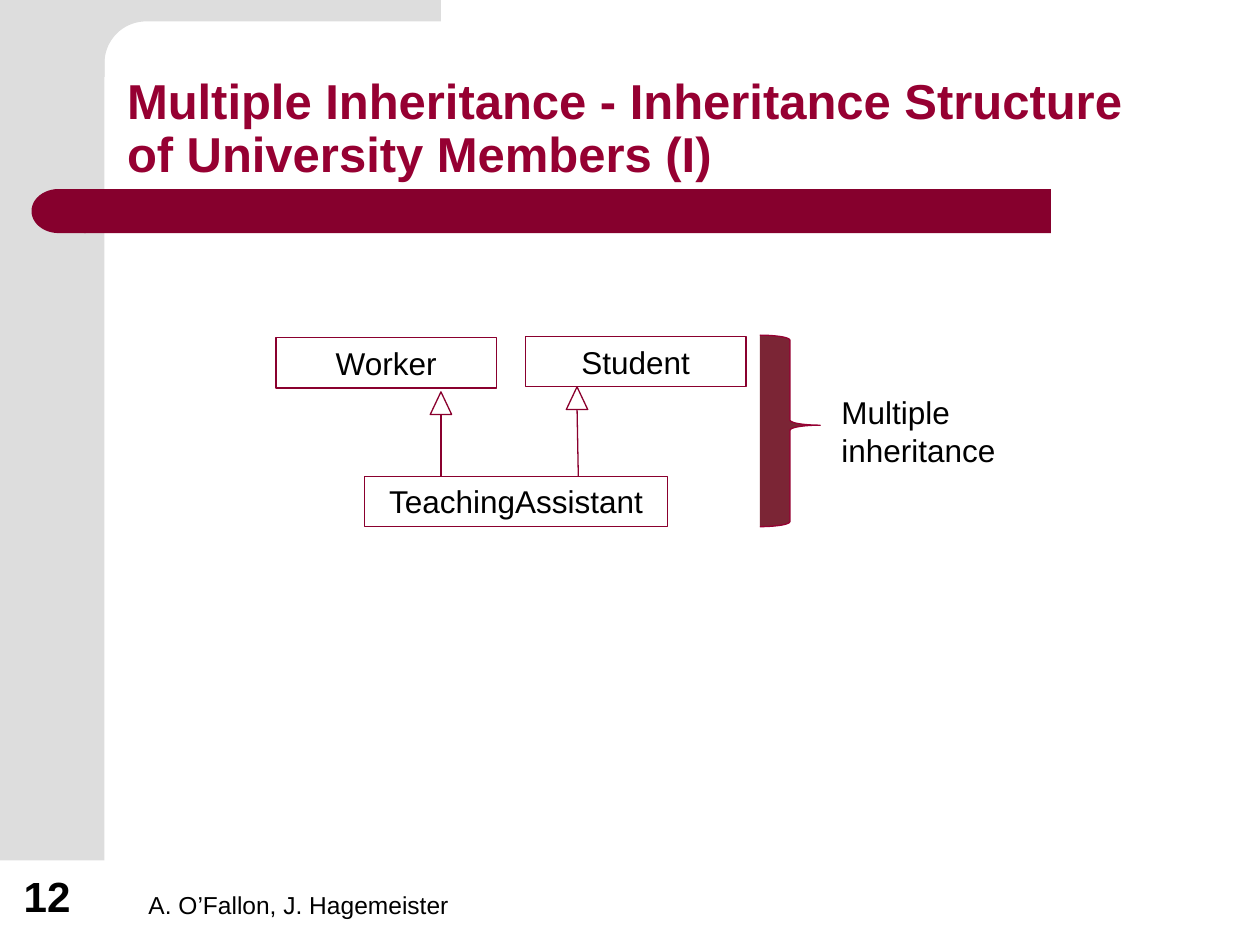
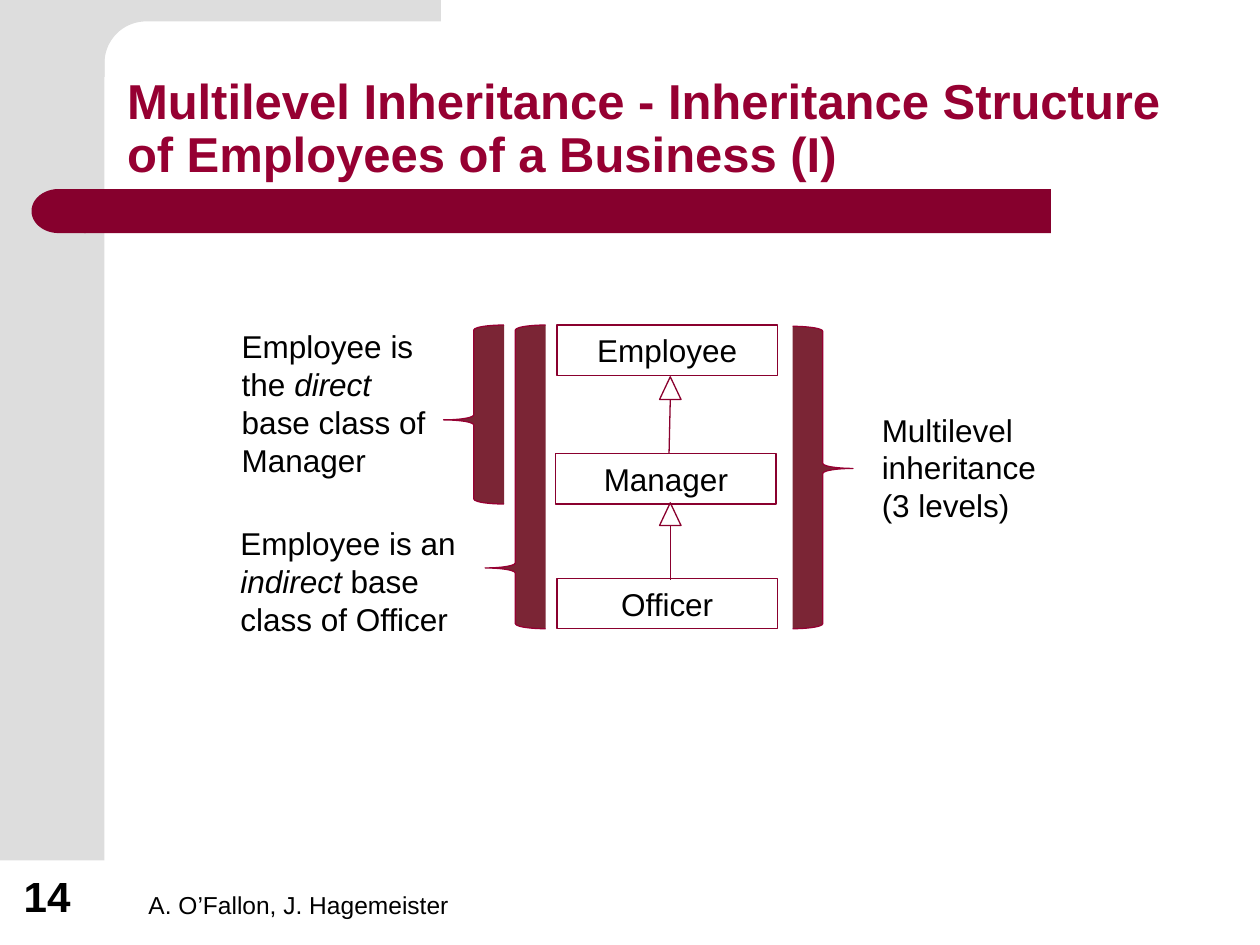
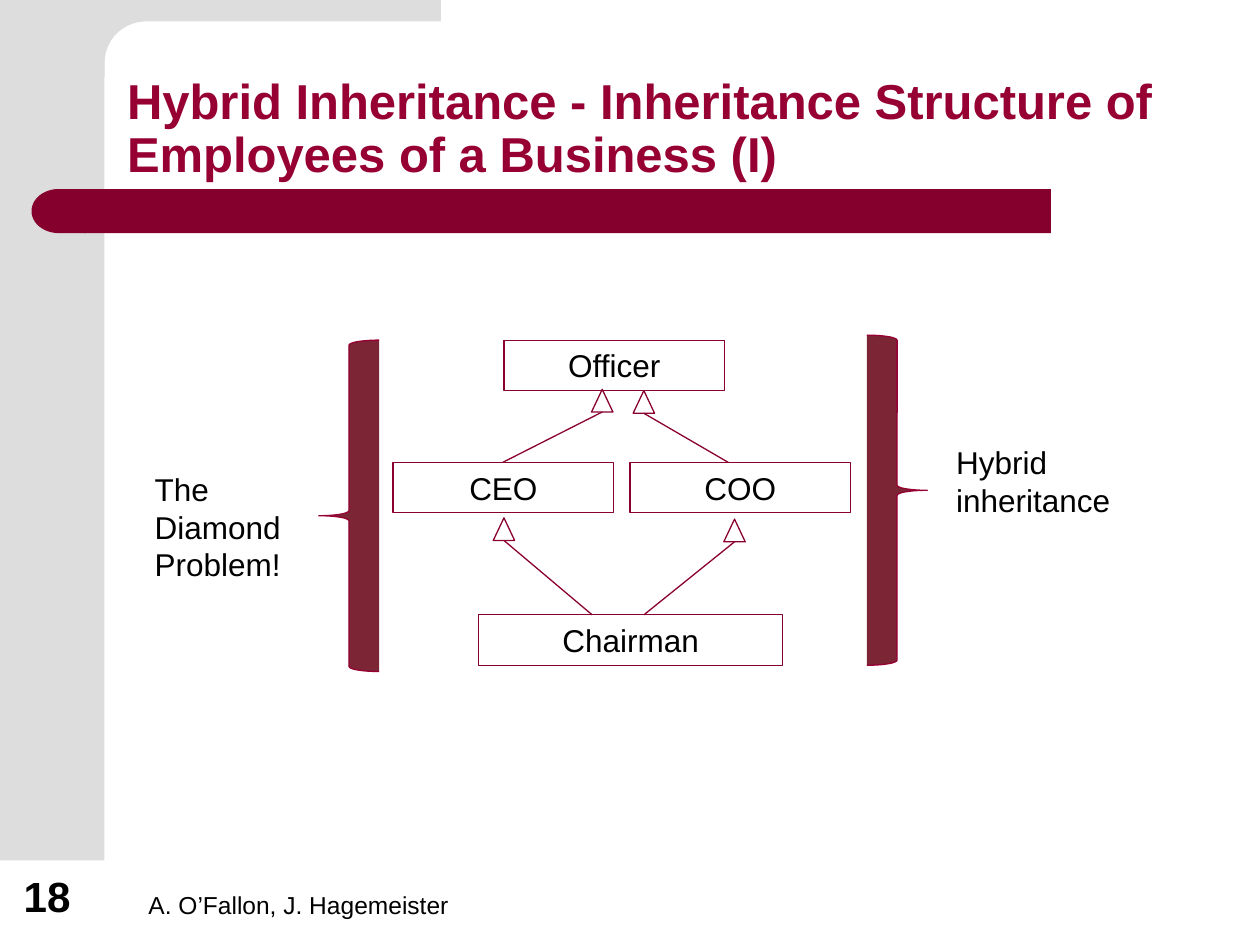
import math
from dataclasses import dataclass

from lxml import etree
from pptx import Presentation
from pptx.dml.color import RGBColor
from pptx.enum import shapes, text
from pptx.oxml.ns import qn
from pptx.util import Inches, Pt

GREY = RGBColor(0xDD, 0xDD, 0xDD)
BAND = RGBColor(0x86, 0x00, 0x2D)
TITLE = RGBColor(0x96, 0x00, 0x32)
OUTLINE = RGBColor(0x8A, 0x00, 0x2E)
BRACE_FILL = RGBColor(0x7B, 0x25, 0x35)
BLACK = RGBColor(0x00, 0x00, 0x00)

KIND = shapes.MSO_SHAPE
TOP, BOTTOM = text.MSO_ANCHOR.TOP, text.MSO_ANCHOR.BOTTOM
FOOTER = "A. O’Fallon, J. Hagemeister"

TITLE_FORMAT = {"size": Pt(28), "bold": True}
FOOTER_FORMAT = {"size": Pt(14)}
NUMBER_FORMAT = {"size": Pt(24.1), "bold": True}
BODY_FORMAT = {"size": Pt(18)}

BOX_HEIGHT = 0.4
HEAD_WIDTH, HEAD_HEIGHT = 0.17, 0.18


@dataclass
class ClassBox:
    name: str
    left: float
    top: float
    width: float = 1.75


@dataclass
class Arrow:
    """Inheritance arrow: apex of the open head, then end of the tail."""
    apex: tuple[float, float]
    tail: tuple[float, float]


@dataclass
class Brace:
    kind: KIND
    left: float
    top: float
    height: float
    tip: float  # share of the height


@dataclass
class Callout:
    runs: tuple[str, ...]  # every second run is italic
    left: float
    top: float
    width: float
    height: float


@dataclass
class Diagram:
    number: int
    title: str
    boxes: list[ClassBox]
    arrows: list[Arrow]
    braces: list[Brace]
    callouts: list[Callout]


DIAGRAMS = [
    Diagram(
        12, "Multiple Inheritance - Inheritance Structure of University Members (I)",
        [ClassBox("Student", 4.17, 2.67), ClassBox("Worker", 2.19, 2.68),
         ClassBox("TeachingAssistant", 2.89, 3.78, 2.41)],
        [Arrow((3.5, 3.11), (3.5, 3.78)), Arrow((4.58, 3.07), (4.59, 3.78))],
        [Brace(KIND.RIGHT_BRACE, 6.03, 2.66, 1.52, 0.47)],
        [Callout(("Multiple inheritance",), 6.58, 3.07, 1.5, 0.7)],
    ),
    Diagram(
        14, "Multilevel Inheritance - Inheritance Structure of Employees of a Business (I)",
        [ClassBox("Employee", 4.42, 2.58), ClassBox("Manager", 4.41, 3.6),
         ClassBox("Officer", 4.42, 4.59)],
        [Arrow((5.32, 2.99), (5.31, 3.6)), Arrow((5.32, 3.99), (5.32, 4.6))],
        [Brace(KIND.LEFT_BRACE, 3.52, 2.58, 1.42, 0.53),
         Brace(KIND.LEFT_BRACE, 3.85, 2.58, 2.41, 0.8),
         Brace(KIND.RIGHT_BRACE, 6.29, 2.59, 2.4, 0.47)],
        [Callout(("Employee is the ", "direct", " base class of Manager"), 1.82, 2.55, 1.68, 1.3),
         Callout(("Employee is an ", "indirect", " base class of Officer"), 1.81, 4.11, 2.14, 1),
         Callout(("Multilevel inheritance (3 levels)",), 6.9, 3.21, 1.5, 1)],
    ),
    Diagram(
        18, "Hybrid Inheritance - Inheritance Structure of Employees of a Business (I)",
        [ClassBox("Officer", 4, 2.7), ClassBox("COO", 5, 3.67),
         ClassBox("CEO", 3.12, 3.67), ClassBox("Chairman", 3.8, 4.88, 2.41)],
        [Arrow((4.78, 3.09), (3.99, 3.67)), Arrow((5.11, 3.1), (5.78, 3.67)),
         Arrow((4, 4.11), (4.7, 4.88)), Arrow((5.83, 4.12), (5.11, 4.88))],
        [Brace(KIND.RIGHT_BRACE, 6.88, 2.66, 2.62, 0.47),
         Brace(KIND.LEFT_BRACE, 2.53, 2.7, 2.63, 0.53)],
        [Callout(("Hybrid inheritance",), 7.49, 3.47, 1.6, 0.7),
         Callout(("The Diamond Problem!",), 1.13, 3.68, 1.6, 1)],
    ),
]


def style_shape(shape, fill: RGBColor | None = None, line: RGBColor | None = None) -> None:
    shape.shadow.inherit = False
    if fill is None:
        shape.fill.background()
    else:
        shape.fill.solid()
        shape.fill.fore_color.rgb = fill
    if line is None:
        shape.line.fill.background()
    else:
        shape.line.color.rgb = line
        shape.line.width = Pt(0.75)


def add_shape(slide, kind: KIND, left: float, top: float, width: float, height: float,
              fill: RGBColor | None = None, line: RGBColor | None = None):
    shape = slide.shapes.add_shape(kind, *map(Inches, (left, top, width, height)))
    style_shape(shape, fill, line)
    return shape


def write(shape, runs: tuple[str, ...], font_format: dict, color: RGBColor = BLACK,
          anchor: text.MSO_ANCHOR = TOP):
    frame = shape.text_frame
    frame.word_wrap = True
    frame.vertical_anchor = anchor
    paragraph = frame.paragraphs[0]
    for index, words in enumerate(runs):
        run = paragraph.add_run()
        run.text = words
        for key, value in {"name": "Arial", "italic": index % 2 == 1, **font_format}.items():
            setattr(run.font, key, value)
        run.font.color.rgb = color
    return paragraph


def add_text(slide, left: float, top: float, width: float, height: float,
             runs: tuple[str, ...], font_format: dict, **options):
    box = slide.shapes.add_textbox(*map(Inches, (left, top, width, height)))
    return write(box, runs, font_format, **options)


def add_frame(slide) -> None:
    """Grey side bar with its rounded corner, and the band below the title."""
    add_shape(slide, KIND.RECTANGLE, 0, 0, 0.83, 6.83, fill=GREY)
    center_x, center_y, radius = 1.16, 0.5, 0.33
    angles = [math.radians(degrees) for degrees in range(90, 181, 5)]
    arc = [(center_x + radius * math.cos(a), center_y - radius * math.sin(a)) for a in angles]
    outline = [(3.5, 0.17), *arc, (0.83, 0.61), (0.5, 0.61), (0.5, 0)]
    builder = slide.shapes.build_freeform(Inches(3.5), 0)
    builder.add_line_segments([(Inches(x), Inches(y)) for x, y in outline])
    style_shape(builder.convert_to_shape(), GREY)

    add_shape(slide, KIND.RECTANGLE, 0.67, 1.5, 7.67, 0.35, fill=BAND)
    add_shape(slide, KIND.FLOWCHART_DELAY, 0.25, 1.5, 0.43, 0.35, fill=BAND).rotation = 180


def add_class_box(slide, box: ClassBox) -> None:
    shape = add_shape(slide, KIND.RECTANGLE, box.left, box.top, box.width, BOX_HEIGHT,
                      line=OUTLINE)
    write(shape, (box.name,), BODY_FORMAT).alignment = text.PP_ALIGN.CENTER


def add_arrow(slide, arrow: Arrow) -> None:
    x, y = arrow.apex
    add_shape(slide, KIND.ISOSCELES_TRIANGLE, x - HEAD_WIDTH / 2, y, HEAD_WIDTH, HEAD_HEIGHT,
              line=OUTLINE)
    ends = (x, y + HEAD_HEIGHT, *arrow.tail)
    connector = slide.shapes.add_connector(shapes.MSO_CONNECTOR.STRAIGHT, *map(Inches, ends))
    connector.line.color.rgb = OUTLINE
    connector.line.width = Pt(0.75)
    etree.SubElement(connector._element.spPr, qn("a:effectLst"))


def add_brace(slide, brace: Brace) -> None:
    shape = add_shape(slide, brace.kind, brace.left, brace.top, 0.48, brace.height,
                      fill=BRACE_FILL, line=TITLE)
    shape.adjustments[1] = brace.tip


def add_diagram(presentation, diagram: Diagram) -> None:
    slide = presentation.slides.add_slide(presentation.slide_layouts[6])
    add_frame(slide)

    # Title and footer
    title = add_text(slide, 0.91, 0.41, 8.51, 1.09, (diagram.title,), TITLE_FORMAT,
                     color=TITLE, anchor=BOTTOM)
    title.line_spacing = 0.9
    add_text(slide, 1.08, 6.83, 3.75, 0.52, (FOOTER,), FOOTER_FORMAT, anchor=BOTTOM)
    add_text(slide, 0.09, 6.83, 0.64, 0.53, (str(diagram.number),), NUMBER_FORMAT,
             anchor=BOTTOM)

    # Class diagram
    for box in diagram.boxes:
        add_class_box(slide, box)
    for arrow in diagram.arrows:
        add_arrow(slide, arrow)
    for brace in diagram.braces:
        add_brace(slide, brace)
    for note in diagram.callouts:
        add_text(slide, note.left, note.top, note.width, note.height, note.runs, BODY_FORMAT)


def main() -> None:
    presentation = Presentation()
    presentation.slide_width, presentation.slide_height = Inches(10), Inches(7.5)
    for diagram in DIAGRAMS:
        add_diagram(presentation, diagram)
    presentation.save("out.pptx")


if __name__ == "__main__":
    main()
